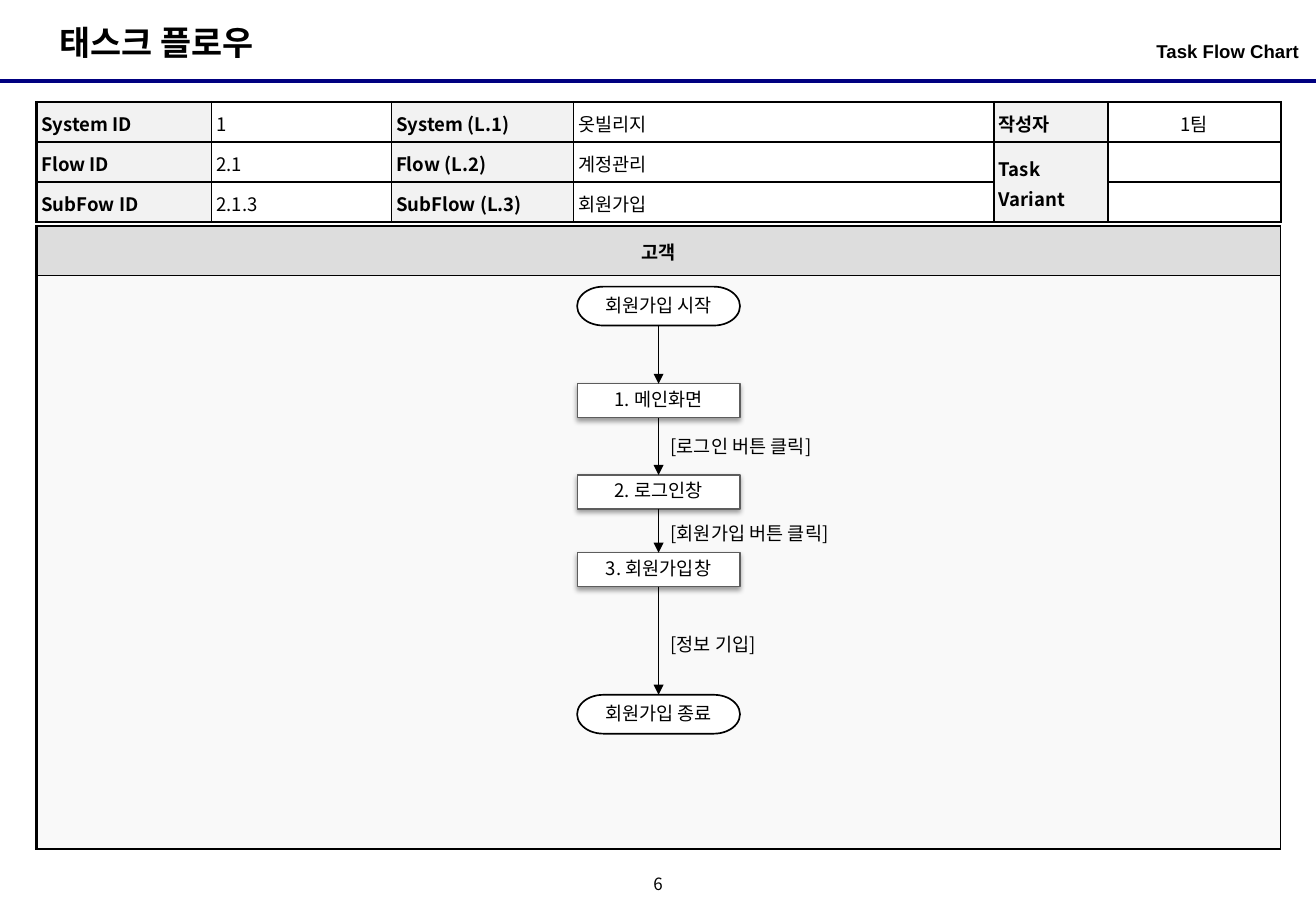
from itertools import pairwise
from lxml.etree import SubElement
from pptx import Presentation
from pptx.dml.color import RGBColor
from pptx.enum.shapes import MSO_CONNECTOR, MSO_SHAPE
from pptx.enum.text import MSO_ANCHOR, PP_ALIGN
from pptx.oxml import parse_xml
from pptx.oxml.ns import nsdecls, qn
from pptx.util import Inches, Pt

# Content
KOREAN = "Noto Sans CJK KR"
TITLE, SUBTITLE, PAGE = "태스크 플로우", "Task Flow Chart", "6"
INFO_ROWS = [
    ("System ID", "1", "System (L.1)", "옷빌리지", "작성자", "1팀"),
    ("Flow ID", "2.1", "Flow (L.2)", "계정관리", "Task Variant", ""),
    ("SubFow ID", "2.1.3", "SubFlow (L.3)", "회원가입", "", ""),
]
INFO_WIDTHS = [1.44, 1.48, 1.5, 3.46, 0.94, 1.42]
LANE = "고객"
STEPS = [  # text, kind, top
    ("회원가입 시작", "terminator", 2.36),
    ("1. 메인화면", "process", 3.16),
    ("2. 로그인창", "process", 3.91),
    ("3. 회원가입창", "process", 4.55),
    ("회원가입 종료", "terminator", 5.72),
]
STEP_HEIGHTS = {"terminator": 0.32, "process": 0.28}
ACTIONS = [("[로그인 버튼 클릭]", 3.53), ("[회원가입 버튼 클릭]", 4.25), ("[정보 기입]", 5.16)]
CENTER, STEP_WIDTH = 5.42, 1.34
TABLE_LEFT, TABLE_WIDTH = 0.3, 10.24

presentation = Presentation()
presentation.slide_width, presentation.slide_height = Inches(10.83), Inches(7.5)
slide = presentation.slides.add_slide(presentation.slide_layouts[5])


def color(value):
    return RGBColor.from_string(value)


def set_text(frame, text, size=11, bold=False, align=PP_ALIGN.LEFT, font=KOREAN, spacing=1.0):
    paragraph = frame.paragraphs[0]
    paragraph.text = text
    paragraph.alignment, paragraph.line_spacing = align, spacing
    paragraph.font.name, paragraph.font.size, paragraph.font.bold = font, Pt(size), bold
    paragraph.font.color.rgb = color("000000")
    east_asian = SubElement(paragraph.font._element, qn("a:ea"))
    east_asian.set("typeface", KOREAN)
    return paragraph


def set_margins(target, horizontal, vertical):
    target.margin_left = target.margin_right = Inches(horizontal)
    target.margin_top = target.margin_bottom = Inches(vertical)


def add_text(left, top, width, height, text, **style):
    frame = slide.shapes.add_textbox(*map(Inches, (left, top, width, height))).text_frame
    frame.word_wrap = True
    set_text(frame, text, **style)
    return frame


def add_line(start, end, line_color, width, arrow=False):
    points = map(Inches, (*start, *end))
    line = slide.shapes.add_connector(MSO_CONNECTOR.STRAIGHT, *points)
    line.line.color.rgb, line.line.width = color(line_color), Pt(width)
    if arrow:
        SubElement(line.line._get_or_add_ln(), qn("a:tailEnd")).set("type", "triangle")
    SubElement(line._element.spPr, qn("a:effectLst"))


def style_cell(cell, fill, borders):
    properties = cell._tc.get_or_add_tcPr()
    for side, width in zip("LRTB", borders):
        properties.append(parse_xml(
            f'<a:ln{side} {nsdecls("a")} w="{Pt(width)}"><a:solidFill>'
            f'<a:srgbClr val="000000"/></a:solidFill></a:ln{side}>'))
    cell.fill.solid()
    cell.fill.fore_color.rgb = color(fill)


def add_table(top, widths, heights):
    size = map(Inches, (TABLE_LEFT, top, TABLE_WIDTH, sum(heights)))
    table = slide.shapes.add_table(len(heights), len(widths), *size).table
    for column, width in zip(table.columns, widths):
        column.width = Inches(width)
    for row, height in zip(table.rows, heights):
        row.height = Inches(height)
    return table


# Header
title = slide.shapes.title
title.left, title.top, title.width, title.height = map(Inches, (0.39, 0.13, 4, 0.44))
title.text_frame.word_wrap = False
title.text_frame.vertical_anchor = MSO_ANCHOR.TOP
set_text(title.text_frame, TITLE, size=20, bold=True)
add_line((0, 0.67), (10.83, 0.67), "000080", 2.25)
subtitle = add_text(7.38, 0.28, 3.31, 0.39, SUBTITLE, bold=True, align=PP_ALIGN.RIGHT, font="Arial")
set_margins(subtitle, 0, 0.05)

# Flow information table: labels in even columns, values in odd ones
info = add_table(0.84, INFO_WIDTHS, [0.33] * 3)
info.cell(1, 4).merge(info.cell(2, 4))
for row, texts in enumerate(INFO_ROWS):
    for column, text in enumerate(texts):
        cell = info.cell(row, column)
        is_label, is_right = column % 2 == 0, column >= 4
        style_cell(cell, "F2F2F2" if is_label else "FFFFFF", (
            1.5 if column == 0 else 1,
            1.5 if column == 5 else 1,
            1.5 if row == 0 or is_right else 1,
            1.5 if row == 2 or is_right else 1))
        set_margins(cell, 0.04, 0.04)
        if is_right:
            cell.vertical_anchor = MSO_ANCHOR.MIDDLE
        if cell.is_spanned:
            continue
        paragraph = set_text(cell.text_frame, text, bold=is_label, spacing=1.1,
                             align=PP_ALIGN.CENTER if column == 5 else PP_ALIGN.LEFT)
        paragraph.space_before = paragraph.space_after = Pt(1.1)

# Customer lane
lane = add_table(1.86, [TABLE_WIDTH], [0.41, 4.72])
style_cell(lane.cell(0, 0), "DDDDDD", (1.5, 0.75, 1.5, 0.75))
style_cell(lane.cell(1, 0), "F9F9F9", (1.5, 0.75, 0.75, 1.5))
lane.cell(0, 0).vertical_anchor = MSO_ANCHOR.MIDDLE
set_text(lane.cell(0, 0).text_frame, LANE, bold=True, align=PP_ALIGN.CENTER)

# Flow steps
for text, kind, top in STEPS:
    is_process = kind == "process"
    preset = MSO_SHAPE.FLOWCHART_PROCESS if is_process else MSO_SHAPE.FLOWCHART_TERMINATOR
    box = (CENTER - STEP_WIDTH / 2, top, STEP_WIDTH, STEP_HEIGHTS[kind])
    shape = slide.shapes.add_shape(preset, *map(Inches, box))
    shape.shadow.inherit = False
    shape.fill.solid()
    shape.fill.fore_color.rgb = color("FFFFFF")
    shape.line.color.rgb = color("5D5D5D" if is_process else "000000")
    shape.line.width = Pt(0.75 if is_process else 1)
    if is_process:
        shape._element.spPr.find(qn("a:effectLst")).append(parse_xml(
            f'<a:outerShdw {nsdecls("a")} blurRad="{Pt(3.1)}" dist="{Pt(1.6)}" dir="5400000">'
            '<a:srgbClr val="000000"><a:alpha val="38000"/></a:srgbClr></a:outerShdw>'))
    set_margins(shape.text_frame, 0.02, 0)
    shape.text_frame.vertical_anchor = MSO_ANCHOR.MIDDLE
    set_text(shape.text_frame, text, align=PP_ALIGN.CENTER, spacing=0.9,
             font=KOREAN if is_process else "Arial")

# Arrows between steps, with the action that leads on
for (_, kind, top), (_, _, next_top) in pairwise(STEPS):
    add_line((CENTER, top + STEP_HEIGHTS[kind]), (CENTER, next_top), "000000", 0.75, arrow=True)
for text, top in ACTIONS:
    add_text(CENTER, top, 1.66, 0.29, text)

# Page number
page = add_text(5.25, 7.17, 0.33, 0.25, PAGE, size=10, align=PP_ALIGN.CENTER, spacing=0.8)
set_margins(page, 0, 0)
page.vertical_anchor = MSO_ANCHOR.MIDDLE

presentation.save("out.pptx")
